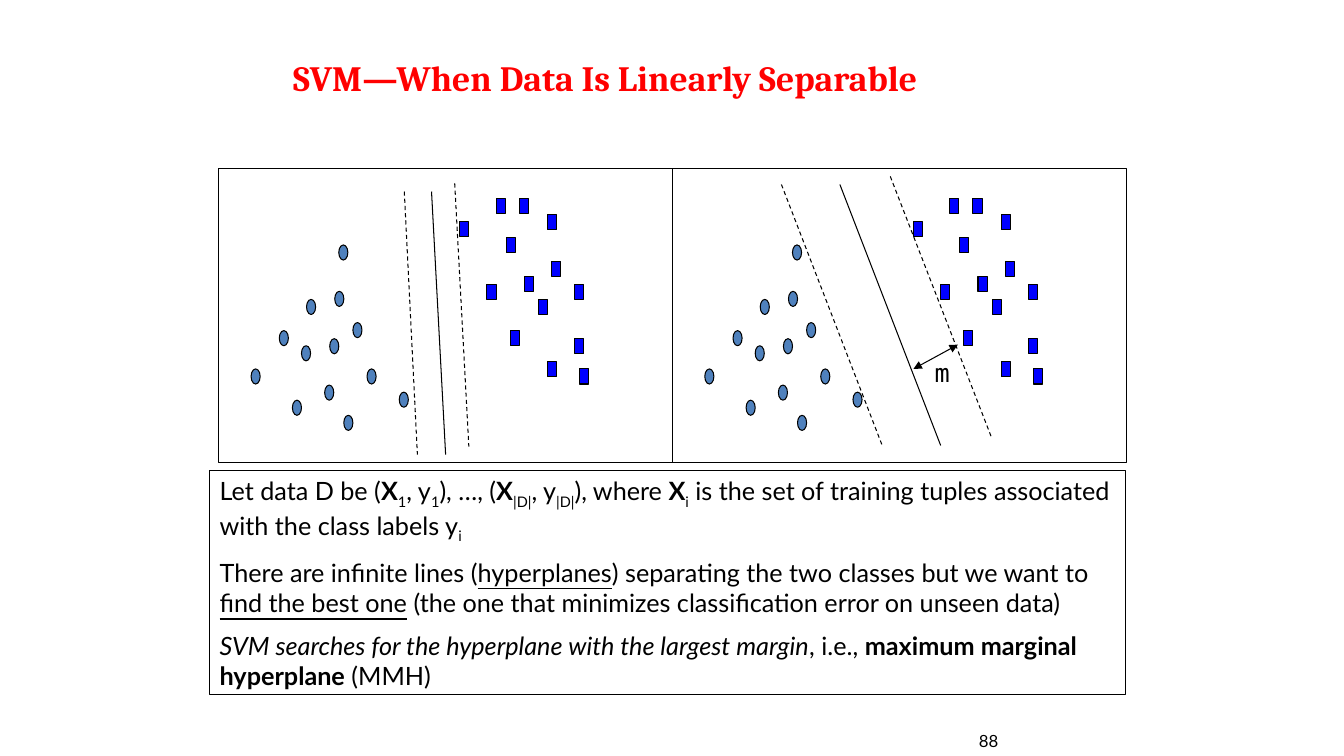
"""Build a slide on how an SVM picks the hyperplane with the largest margin."""
import pptx
import pptx.dml.color
import pptx.enum.dml
import pptx.enum.shapes
import pptx.enum.text
import pptx.util
from lxml import etree
from pptx.oxml.ns import qn

Inches = pptx.util.Inches
Kind = pptx.enum.shapes.MSO_SHAPE
Align = pptx.enum.text.PP_ALIGN
Anchor = pptx.enum.text.MSO_ANCHOR

BLACK = pptx.dml.color.RGBColor(0x00, 0x00, 0x00)
RED = pptx.dml.color.RGBColor(0xFF, 0x00, 0x00)
BLUE = pptx.dml.color.RGBColor(0x00, 0x00, 0xFF)
STEEL = pptx.dml.color.RGBColor(0x4F, 0x81, 0xBD)

TOP, WIDE, HIGH = 1.67, 4.5, 2.92
LEFTS = (2.17, 6.67)
DOTS = [
    (0.73, 3.97), (0.82, 3.43), (0.32, 3.66), (0.6, 3.28), (1.05, 3.82),
    (0.87, 2.97), (1.1, 3.36), (1.15, 2.89), (1.33, 3.2), (1.47, 3.66),
    (1.24, 4.12), (1.79, 3.89), (1.19, 2.43),
]
BLOCKS = [
    (2.66, 2.82), (2.39, 2.2), (2.75, 1.97), (2.89, 3.28), (2.85, 2.36),
    (3.03, 2.74), (2.98, 1.97), (3.26, 2.13), (3.17, 2.97), (3.3, 2.59),
    (3.26, 3.59), (3.53, 2.82), (3.53, 3.36), (3.58, 3.66),
]
PLANES = [
    [(4.51, 1.82, 4.65, 4.43, True), (4.01, 1.9, 4.14, 4.51, True),
     (4.28, 1.9, 4.42, 4.51, False)],
    [(7.75, 1.83, 8.75, 4.42, True), (8.83, 1.75, 9.83, 4.33, True),
     (8.33, 1.83, 9.33, 4.42, False)],
]
NOTES = [
    [("Let data D be (", ""), ("X", "b"), ("1", "s"), (", y", ""), ("1", "s"),
     ("), …, (", ""), ("X", "b"), ("|D|", "s"), (", y", ""), ("|D|", "s"),
     ("), where ", ""), ("X", "b"), ("i", "s"),
     (" is the set of training tuples associated with the class labels y", ""),
     ("i", "s")],
    [("There are infinite lines (", ""), ("hyperplanes", "u"),
     (") separating the two classes but we want to ", ""),
     ("find the best one", "u"),
     (" (the one that minimizes classification error on unseen data)", "")],
    [("SVM searches for the hyperplane with the largest margin", "i"),
     (", i.e., ", ""), ("maximum marginal hyperplane", "b"), (" (MMH)", "")],
]


class Sketch:
    """Hold the line and text style together with the current slide."""

    def __init__(self, slide, font="Lato", size=18, weight=0.75):
        self.slide = slide
        self.font, self.size = font, size
        self.weight = pptx.util.Pt(weight)
        self.shapes = slide.shapes

    def group(self):
        """Send the next shapes into a new group."""
        self.shapes = self.slide.shapes.add_group_shape().shapes

    def ungroup(self):
        """Send the next shapes straight to the slide."""
        self.shapes = self.slide.shapes

    def shape(self, kind, left, top, wide, high, fill=None):
        """Add an outlined shape, hollow unless a fill is given."""
        shape = self.shapes.add_shape(
            kind, Inches(left), Inches(top), Inches(wide), Inches(high))
        shape.shadow.inherit = False
        if fill is None:
            shape.fill.background()
        else:
            shape.fill.solid()
            shape.fill.fore_color.rgb = fill
        shape.line.color.rgb = BLACK
        shape.line.width = self.weight
        return shape

    def line(self, x1, y1, x2, y2, dash=False, arrows=False):
        """Add a straight line, dashed or with two arrowheads on demand."""
        line = self.shapes.add_connector(
            pptx.enum.shapes.MSO_CONNECTOR.STRAIGHT,
            Inches(x1), Inches(y1), Inches(x2), Inches(y2))
        line.line.color.rgb = BLACK
        line.line.width = self.weight
        if dash:
            line.line.dash_style = pptx.enum.dml.MSO_LINE.DASH
        props = line._element.spPr
        if arrows:
            stroke = props.find(qn("a:ln"))
            for end in ("a:headEnd", "a:tailEnd"):
                etree.SubElement(stroke, qn(end), type="triangle")
        etree.SubElement(props, qn("a:effectLst"))

    def label(self, text, left, top, wide, high, size=None, font=None,
              color=BLACK, bold=False, align=Align.LEFT, anchor=Anchor.TOP):
        """Add a one-line text box."""
        box = self.shapes.add_textbox(
            Inches(left), Inches(top), Inches(wide), Inches(high))
        frame = box.text_frame
        frame.word_wrap = True
        frame.vertical_anchor = anchor
        frame.text = text
        para = frame.paragraphs[0]
        para.alignment = align
        style = para.runs[0].font
        style.name = font or self.font
        style.size = pptx.util.Pt(size or self.size)
        style.bold = bold
        style.color.rgb = color

    def notes(self, paras, left, top, wide, high):
        """Add a framed box of paragraphs made of styled runs."""
        frame = self.shape(Kind.RECTANGLE, left, top, wide, high).text_frame
        frame.word_wrap = True
        frame.vertical_anchor = Anchor.TOP
        for index, parts in enumerate(paras):
            para = frame.add_paragraph() if index else frame.paragraphs[0]
            para.alignment = Align.LEFT
            if index:
                para.space_before = pptx.util.Pt(self.size / 2)
            for text, mark in parts:
                run = para.add_run()
                run.text = text
                style = run.font
                style.name = self.font
                style.size = pptx.util.Pt(self.size)
                style.color.rgb = BLACK
                style.bold = mark == "b"
                style.italic = mark == "i"
                style.underline = mark == "u"
                if mark == "s":
                    run._r.get_or_add_rPr().set("baseline", "-25000")

    def panel(self, left, planes):
        """Add one framed scatter of both classes with its hyperplanes."""
        self.group()
        for kind, spots, fill in ((Kind.OVAL, DOTS, STEEL),
                                  (Kind.RECTANGLE, BLOCKS, BLUE)):
            for x, y in spots:
                self.shape(kind, left + x, y, 0.09, 0.15, fill)
        self.shape(Kind.RECTANGLE, left, TOP, WIDE, HIGH)
        for plane in planes:
            self.line(*plane)
        self.ungroup()


def main():
    """Draw the slide and save it."""
    deck = pptx.Presentation()
    deck.slide_width, deck.slide_height = Inches(13.33), Inches(7.5)
    sketch = Sketch(deck.slides.add_slide(deck.slide_layouts[6]))
    sketch.label("88", 7.92, 7.08, 2.08, 0.42, size=12,
                 align=Align.RIGHT, anchor=Anchor.BOTTOM)
    sketch.label("SVM—When Data Is Linearly Separable", 2.81, 0.51, 10, 0.53,
                 size=25.4, font="Cambria", color=RED, bold=True)
    for left, planes in zip(LEFTS, PLANES):
        sketch.panel(left, planes)
    sketch.line(9.06, 3.66, 9.5, 3.42, arrows=True)
    sketch.label("m", 9.17, 3.5, 0.58, 0.4, font="DejaVu Sans Mono")
    sketch.notes(NOTES, 2.08, 4.67, 9.08, 2.22)
    deck.save("out.pptx")


if __name__ == "__main__":
    main()
